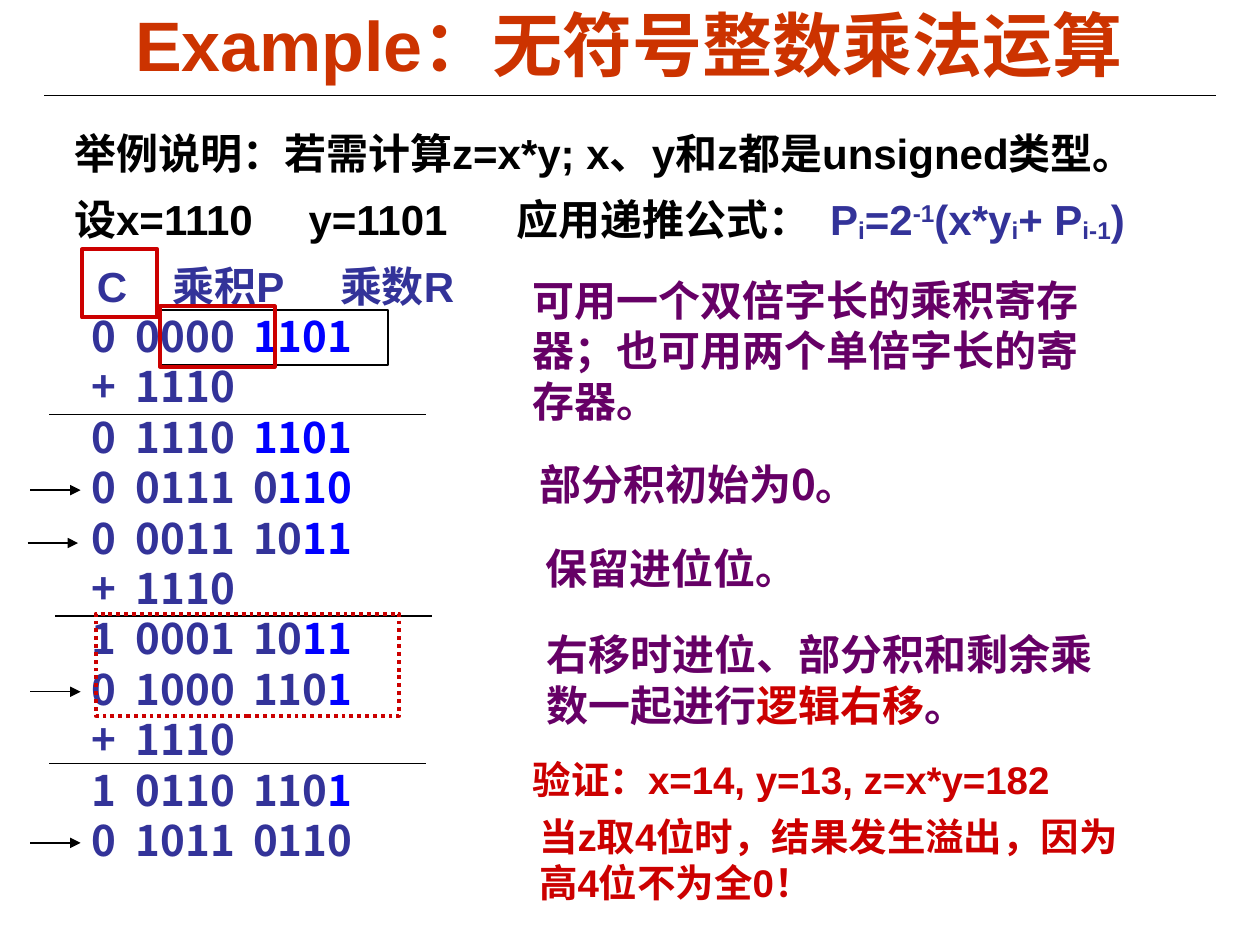
import pptx
import pptx.util
import pptx.dml.color
import pptx.enum.dml
import pptx.enum.shapes
import pptx.enum.text
import pptx.oxml
from pptx.oxml.ns import qn
from dataclasses import dataclass

Inches = pptx.util.Inches
Pt = pptx.util.Pt


@dataclass(frozen=True)
class Theme:
    black: str = "000000"
    orange: str = "CC3300"
    navy: str = "333399"
    blue: str = "0000FF"
    plum: str = "660066"
    red: str = "CC0000"
    head: int = 40
    body: int = 24
    small: int = 22
    sans: str = "Arial"
    serif: str = "Times New Roman"
    cjk: str = "Noto Sans CJK SC"


T = Theme()


def rgb(code):
    return pptx.dml.color.RGBColor.from_string(code)


def child(node, tag, **attrs):
    item = pptx.oxml.parse_xml(
        f'<a:{tag} xmlns:a="http://schemas.openxmlformats.org/drawingml/2006/main"/>')
    for key, value in attrs.items():
        item.set(key, value)
    node.append(item)
    return item


def fill_par(par, runs, font, size, color, before=0, tabs=()):
    """Write runs of (text, color or None, baseline percent)."""
    if before:
        par.space_before = Pt(before)
    if tabs:
        stops = child(par._p.get_or_add_pPr(), "tabLst")
        for stop in tabs:
            child(stops, "tab", pos=str(Inches(stop)), algn="l")
    face = par.font
    face.name, face.size, face.bold = font, Pt(size), True
    face.color.rgb = rgb(color)
    for text, tint, base in runs:
        run = par.add_run()
        run.text = text
        if tint:
            run.font.color.rgb = rgb(tint)
        if base:
            run.font._element.set("baseline", str(base * 1000))


def add_box(slide, left, top, width, height, wrap=True):
    frame = slide.shapes.add_textbox(
        Inches(left), Inches(top), Inches(width), Inches(height)).text_frame
    frame.word_wrap = wrap
    return frame


def add_note(slide, place, runs, font, size, color, wrap=True):
    frame = add_box(slide, *place, wrap=wrap)
    fill_par(frame.paragraphs[0], runs, font, size, color)


def add_line(slide, left, right, y, arrow=False):
    line = slide.shapes.add_connector(
        pptx.enum.shapes.MSO_CONNECTOR.STRAIGHT,
        Inches(left), Inches(y), Inches(right), Inches(y))
    line.line.color.rgb = rgb(T.black)
    line.line.width = Pt(0.75)
    if arrow:
        child(line.line._get_or_add_ln(), "tailEnd", type="triangle")
    child(line._element.find(qn("p:spPr")), "effectLst")


def add_frame(slide, place, color, width, dash=None):
    rect = slide.shapes.add_shape(
        pptx.enum.shapes.MSO_SHAPE.RECTANGLE, *map(Inches, place))
    rect.shadow.inherit = False
    rect.fill.background()
    rect.line.color.rgb = rgb(color)
    rect.line.width = Pt(width)
    if dash:
        rect.line.dash_style = dash


def add_title(slide):
    frame = add_box(slide, 0.49, 0.04, 9, 0.61)
    frame.margin_left = frame.margin_right = 0
    frame.margin_top = frame.margin_bottom = 0
    frame.vertical_anchor = pptx.enum.text.MSO_ANCHOR.MIDDLE
    par = frame.paragraphs[0]
    par.alignment = pptx.enum.text.PP_ALIGN.CENTER
    fill_par(par, [("Example：无符号整数乘法运算", None, 0)],
             T.sans, T.head, T.orange)
    add_line(slide, 0.35, 9.65, 0.76)


def add_work(slide):
    frame = add_box(slide, 0.49, 0.96, 9.51, 5.96)
    # Task, formula and column heads
    fill_par(frame.paragraphs[0],
             [("举例说明：若需计算z=x*y; x、y和z都是unsigned类型。", None, 0)],
             T.sans, T.body, T.black)
    terms = [("P", 0), ("i", -10), ("=2", 0), ("-1", 30), ("(x*y", 0),
             ("i", -10), ("+ P", 0), ("i-1", -10), (")", 0)]
    formula = [("设x=1110\ty=1101\t应用递推公式：\t", None, 0)]
    formula += [(text, T.navy, base) for text, base in terms]
    fill_par(frame.add_paragraph(), formula, T.sans, T.body, T.black,
             9, (1.86, 3.51, 6))
    fill_par(frame.add_paragraph(), [("\tC\t乘积P\t乘数R", None, 0)],
             T.sans, T.body, T.navy, 9, (0.18, 0.78, 2.11))
    # Carry, product, shifted-in bits, multiplier bits left
    steps = [("0", "0000", "", "1101"), ("+", "1110", "", ""),
             ("0", "1110", "", "1101"), ("0", "0111", "0", "110"),
             ("0", "0011", "10", "11"), ("+", "1110", "", ""),
             ("1", "0001", "10", "11"), ("0", "1000", "110", "1"),
             ("+", "1110", "", ""), ("1", "0110", "110", "1"),
             ("0", "1011", "0110", "")]
    for carry, prod, done, left in steps:
        lead = f"\t{carry}\t{prod}"
        if done or left:
            lead += f"\t{done}"
        runs = [(lead, None, 0)]
        if left:
            runs.append((left, T.blue, 0))
        fill_par(frame.add_paragraph(), runs, T.cjk, T.body, T.navy,
                 tabs=(0.14, 0.49, 1.42))


def add_marks(slide):
    # Sum rules and shift arrows
    for left, y in ((0.39, 3.29), (0.44, 4.89), (0.39, 6.06)):
        add_line(slide, left, left + 2.99, y)
    for left, y in ((0.24, 3.89), (0.22, 4.31), (0.24, 5.49), (0.24, 6.69)):
        add_line(slide, left, left + 0.4, y, arrow=True)
    # Register frames
    add_frame(slide, (1.27, 2.46, 1.81, 0.44), T.black, 1)
    add_frame(slide, (1.27, 2.43, 0.91, 0.48), T.red, 2.25)
    add_frame(slide, (0.65, 1.98, 0.6, 0.54), T.red, 2.25)
    add_frame(slide, (0.76, 4.87, 2.41, 0.81), T.red, 2.25,
              pptx.enum.dml.MSO_LINE.ROUND_DOT)


def add_notes(slide):
    # Remarks on the method
    add_note(slide, (4.13, 2.13, 4.53, 1.3),
             [("可用一个双倍字长的乘积寄存器；也可用两个单倍字长的寄存器。", None, 0)],
             T.serif, T.body, T.plum)
    add_note(slide, (4.18, 3.59, 3.49, 0.5), [("部分积初始为0。", None, 0)],
             T.cjk, T.body, T.plum)
    add_note(slide, (4.23, 4.26, 2.2, 0.5), [("保留进位位。", None, 0)],
             T.serif, T.body, T.plum, wrap=False)
    add_note(slide, (4.24, 4.94, 4.6, 0.9),
             [("右移时进位、部分积和剩余乘数一起进行", None, 0),
              ("逻辑右移", T.red, 0), ("。", None, 0)],
             T.serif, T.body, T.plum)
    # Check of the result
    add_note(slide, (4.13, 5.95, 5.14, 0.47),
             [("验证：x=14, y=13, z=x*y=182", None, 0)],
             T.sans, T.small, T.red)
    add_note(slide, (4.18, 6.4, 4.82, 0.84),
             [("当z取4位时，结果发生溢出，因为高4位不为全0！", None, 0)],
             T.sans, T.small, T.red)


def main():
    deck = pptx.Presentation()
    deck.slide_width, deck.slide_height = Inches(10), Inches(7.5)
    slide = deck.slides.add_slide(deck.slide_layouts[6])
    add_title(slide)
    add_work(slide)
    add_marks(slide)
    add_notes(slide)
    deck.save("out.pptx")


if __name__ == "__main__":
    main()
